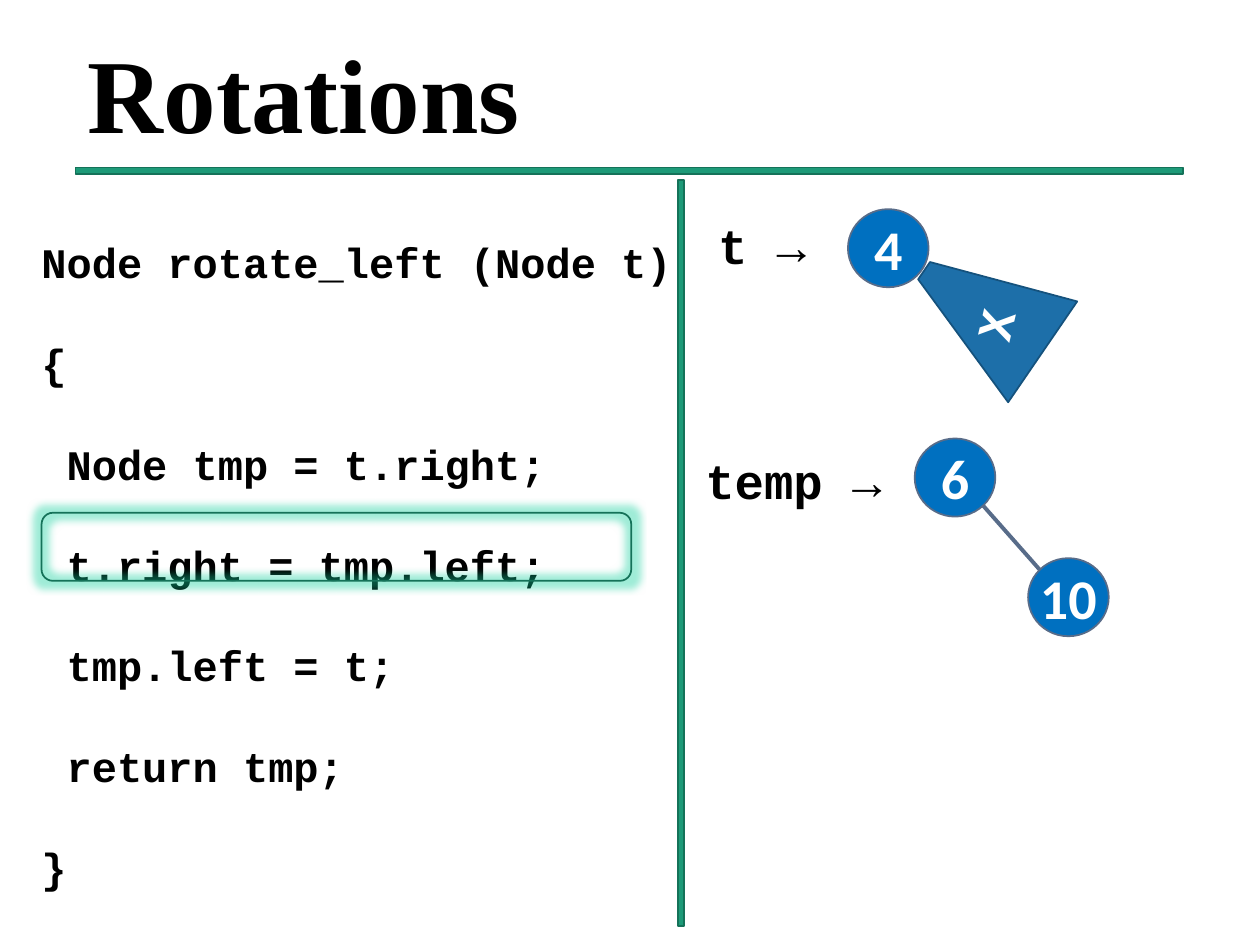
import pptx
import pptx.util
import pptx.dml.color
import pptx.enum.shapes
import pptx.enum.text
import pptx.oxml
import pptx.oxml.ns

Inches, Pt = pptx.util.Inches, pptx.util.Pt
Kind = pptx.enum.shapes.MSO_SHAPE
Anchor = pptx.enum.text.MSO_ANCHOR
Fit = pptx.enum.text.MSO_AUTO_SIZE

HUES = {
    "black": "000000", "white": "FFFFFF",
    "green": "1D9A78", "pine": "157259", "glow": "10D09C",
    "blue": "0070C0", "slate": "586C89",
    "steel": "1D6FA9", "navy": "15527D",
}


def hue(name):
    return pptx.dml.color.RGBColor.from_string(HUES[name])


def draw(home, kind, box, fill, edge):
    """Add a preset shape, or a text box when kind is None."""
    spot = [Inches(v) for v in box]
    if kind is None:
        return home.add_textbox(*spot)
    shape = home.add_shape(kind, *spot)
    shape.shadow.inherit = False
    if fill:
        shape.fill.solid()
        shape.fill.fore_color.rgb = hue(fill)
    else:
        shape.fill.background()
    shape.line.color.rgb = hue(edge)
    shape.line.width = Pt(1)
    return shape


def write(shape, lines, size, face, ink="black", gap=None, **frame):
    """Fill a shape with bold lines; frame holds text frame settings."""
    text = shape.text_frame
    text.word_wrap = True
    for key, value in frame.items():
        setattr(text, key, value)
    for i, line in enumerate(lines):
        para = text.add_paragraph() if i else text.paragraphs[0]
        para.line_spacing = gap
        run = para.add_run()
        run.text = line
        look = {"size": Pt(size), "name": face, "bold": True}
        for key, value in look.items():
            setattr(run.font, key, value)
        run.font.color.rgb = hue(ink)


deck = pptx.Presentation()
deck.slide_width, deck.slide_height = Inches(10), Inches(7.5)
slide = deck.slides.add_slide(deck.slide_layouts[6])
items = slide.shapes

# Title and its rule
title = draw(items, None, (0.6, 0.26, 8.83, 1.06), None, None)
write(title, ["Rotations"], 60, "Times New Roman", gap=0.9,
      vertical_anchor=Anchor.MIDDLE)
draw(items, Kind.RECTANGLE, (0.6, 1.33, 8.79, 0.05), "green", "pine")

# Code
code = [
    "Node rotate_left (Node t)",
    "{",
    " Node tmp = t.right;",
    " t.right = tmp.left;",
    " tmp.left = t;",
    " return tmp;",
    "}",
]
panel = draw(items, None, (0.23, 1.43, 5.22, 5.65), None, None)
write(panel, code, 24, "Courier New", gap=2.0, auto_size=Fit.SHAPE_TO_FIT_TEXT)

# Tree edge and nodes
edge = items.add_connector(pptx.enum.shapes.MSO_CONNECTOR.STRAIGHT,
                           Inches(7.8), Inches(4.01), Inches(8.25), Inches(4.52))
edge.line.color.rgb = hue("slate")
edge.line.width = Pt(2.25)
props = edge._element.spPr
props.append(pptx.oxml.parse_xml(
    f'<a:effectLst {pptx.oxml.ns.nsdecls("a")}/>'))

inset = dict.fromkeys(
    ["margin_left", "margin_top", "margin_right", "margin_bottom"], 0)
for key, x, y in [("4", 6.73, 1.66), ("6", 7.26, 3.48), ("10", 8.16, 4.43)]:
    node = draw(items, Kind.OVAL, (x, y, 0.64, 0.62), "blue", "slate")
    write(node, [key], 32, "Calibri", "white",
          vertical_anchor=Anchor.MIDDLE, **inset)
    node.text_frame.paragraphs[0].alignment = pptx.enum.text.PP_ALIGN.CENTER

# Pointer labels
for name, x, y, wide in [("t →", 5.6, 1.66, 1.42), ("temp →", 5.5, 3.53, 2)]:
    label = draw(items, None, (x, y, wide, 0.57), None, None)
    write(label, [name], 28, "Courier New", auto_size=Fit.SHAPE_TO_FIT_TEXT)

# Subtree X
group = items.add_group_shape().shapes
tree = draw(group, Kind.TRAPEZOID, (7.32, 1.9, 0.97, 1.14), "steel", "navy")
tree.adjustments[0] = 0.414
tree.rotation = 304.4
mark = draw(group, None, (7.6, 2.2, 0.62, 0.57), None, None)
mark.rotation = 283.1
write(mark, ["X"], 28, "Courier New", "white", auto_size=Fit.SHAPE_TO_FIT_TEXT)

# Divider and glowing frame around the current step
draw(items, Kind.RECTANGLE, (5.38, 1.43, 0.05, 5.92), "green", "pine")
frame = draw(items, Kind.ROUNDED_RECTANGLE, (0.33, 4.07, 4.68, 0.54), None, "pine")
effects = frame._element.spPr.find(pptx.oxml.ns.qn("a:effectLst"))
effects.append(pptx.oxml.parse_xml(
    f'<a:glow {pptx.oxml.ns.nsdecls("a")} rad="{Pt(8)}">'
    f'<a:srgbClr val="{HUES["glow"]}"><a:alpha val="40000"/></a:srgbClr>'
    '</a:glow>'))

deck.save("out.pptx")
